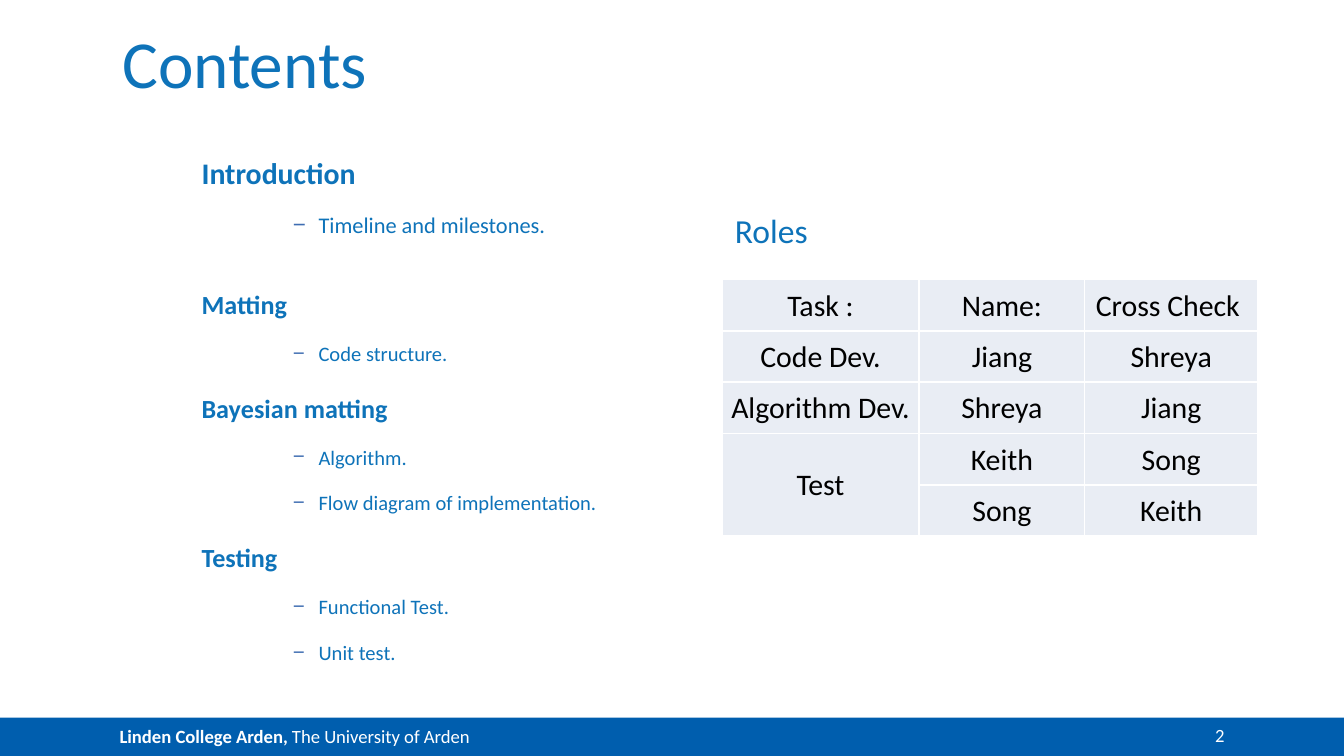
from dataclasses import dataclass

from lxml import etree
from pptx import Presentation
from pptx import util as u
from pptx.dml.color import RGBColor
from pptx.enum import shapes, text
from pptx.oxml.ns import qn


@dataclass(frozen=True)
class Theme:
    font: str = "Calibri"
    dash_font: str = "Arial"
    blue: str = "0E73B9"
    bar: str = "005EAE"
    dash: str = "3E6DB2"
    cell: str = "E9EDF4"
    white: str = "FFFFFF"
    black: str = "000000"
    title: int = 36
    roles: int = 18
    lead: int = 16
    head: int = 14
    sub: int = 12
    item: int = 11
    small: int = 10


T = Theme()

# Heading, heading size, item size, space after the section, items
SECTIONS = [
    ("Introduction", T.lead, T.sub, 12.6, ["Timeline and milestones."]),
    ("Matting", T.head, T.item, 0, ["Code structure."]),
    ("Bayesian matting", T.head, T.item, 0,
     ["Algorithm.", "Flow diagram of implementation."]),
    ("Testing", T.head, T.item, 0, ["Functional Test.", "Unit test."]),
]
ROLES = [
    ["Task :", "Name:", "Cross Check "],
    ["Code Dev.", "Jiang", "Shreya"],
    ["Algorithm Dev.", "Shreya", "Jiang"],
    ["Test", "Keith", "Song"],
    ["", "Song", "Keith"],
]


def rgb(color):
    return RGBColor.from_string(color)


def add_run(p, words, size, color, bold=False):
    r = p.add_run()
    r.text = words
    r.font.name, r.font.size, r.font.bold = T.font, u.Pt(size), bold
    r.font.color.rgb = rgb(color)


def add_box(s, x, y, w, h, anchor=text.MSO_ANCHOR.TOP):
    """Text box without margins; returns its text frame."""
    tf = s.shapes.add_textbox(*map(u.Inches, (x, y, w, h))).text_frame
    tf.word_wrap = True
    tf.vertical_anchor = anchor
    tf.margin_left = tf.margin_right = tf.margin_top = tf.margin_bottom = 0
    return tf


def add_dash(p, margin, hang):
    pPr = p._p.get_or_add_pPr()
    pPr.set("marL", str(u.Inches(margin)))
    pPr.set("indent", str(-u.Inches(hang)))
    color = etree.SubElement(pPr, qn("a:buClr"))
    etree.SubElement(color, qn("a:srgbClr"), val=T.dash)
    etree.SubElement(pPr, qn("a:buFont"), typeface=T.dash_font)
    etree.SubElement(pPr, qn("a:buChar"), char="−")


def add_borders(cell, color, width):
    tcPr = cell._tc.get_or_add_tcPr()
    for i, side in enumerate(("lnL", "lnR", "lnT", "lnB")):
        ln = etree.Element(qn(f"a:{side}"), w=str(u.Pt(width)))
        fill = etree.SubElement(ln, qn("a:solidFill"))
        etree.SubElement(fill, qn("a:srgbClr"), val=color)
        tcPr.insert(i, ln)


def add_footer(s, x, y, w, h):
    # Bar with the institution
    sp = s.shapes.add_shape(shapes.MSO_SHAPE.RECTANGLE,
                            *map(u.Inches, (x, y, w, h)))
    sp.shadow.inherit = False
    sp.fill.solid()
    sp.fill.fore_color.rgb = rgb(T.bar)
    sp.line.fill.background()
    tf = sp.text_frame
    tf.margin_left = u.Inches(0.89)
    tf.margin_top, tf.margin_bottom = u.Inches(0.04), u.Inches(0.06)
    tf.vertical_anchor = text.MSO_ANCHOR.MIDDLE
    p = tf.paragraphs[0]
    p.alignment = text.PP_ALIGN.LEFT
    add_run(p, "Linden College Arden, ", T.small, T.white, bold=True)
    add_run(p, "The University of Arden", T.small, T.white)

    # Slide number
    tf = add_box(s, x + w - 1.21, y, 0.32, 0.21, text.MSO_ANCHOR.BOTTOM)
    p = tf.paragraphs[0]
    p.alignment = text.PP_ALIGN.RIGHT
    add_run(p, "2", T.small, T.white)


def add_title(s, x, y, w, h):
    tf = add_box(s, x, y, w, h, text.MSO_ANCHOR.BOTTOM)
    add_run(tf.paragraphs[0], "Contents", T.title, T.blue)


def add_outline(s, x, y, w, h):
    tf = add_box(s, x, y, w, h)
    p = tf.paragraphs[0]
    for i, (heading, head_size, item_size, gap, items) in enumerate(SECTIONS):
        if i:
            p = tf.add_paragraph()
        p.space_before = u.Pt(14.2)
        add_run(p, heading, head_size, T.blue, bold=True)
        for item in items:
            p = tf.add_paragraph()
            p.level = 1
            p.space_before = u.Pt(11.3)
            p.space_after = u.Pt(gap)
            add_dash(p, 0.87, 0.19)
            add_run(p, item, item_size, T.blue)


def add_roles(s, x, y, w, h):
    # Table
    top = 0.57
    frame = s.shapes.add_table(len(ROLES), len(ROLES[0]),
                               *map(u.Inches, (x, y + top, w, h - top)))
    table = frame.table
    table.first_row = table.horz_banding = False
    for column, width in zip(table.columns, (1.47, 1.23, 1.29)):
        column.width = u.Inches(width)
    for i, row in enumerate(ROLES):
        for j, words in enumerate(row):
            cell = table.cell(i, j)
            cell.fill.solid()
            cell.fill.fore_color.rgb = rgb(T.cell)
            cell.vertical_anchor = text.MSO_ANCHOR.MIDDLE
            cell.margin_left = cell.margin_right = u.Inches(0.01)
            cell.margin_top, cell.margin_bottom = u.Inches(0.01), 0
            add_borders(cell, T.white, 1)
            if words:
                p = cell.text_frame.paragraphs[0]
                p.alignment = text.PP_ALIGN.CENTER
                add_run(p, words, T.lead, T.black)
    table.cell(3, 0).merge(table.cell(4, 0))

    # Caption
    tf = add_box(s, x, y, w, 0.4)
    tf.margin_left = tf.margin_right = u.Inches(0.1)
    tf.margin_top = tf.margin_bottom = u.Inches(0.05)
    add_run(tf.paragraphs[0], "Roles", T.roles, T.blue)


def main():
    prs = Presentation()
    prs.slide_width = u.Inches(10)
    prs.slide_height = prs.slide_width * 9 // 16
    s = prs.slides.add_slide(prs.slide_layouts[6])
    add_footer(s, 0, 5.34, 10, 0.3)
    add_title(s, 0.91, 0.3, 8.2, 0.46)
    add_outline(s, 1.5, 1.15, 4.09, 3.32)
    add_roles(s, 5.37, 1.51, 3.99, 2.48)
    prs.save("out.pptx")


if __name__ == "__main__":
    main()
